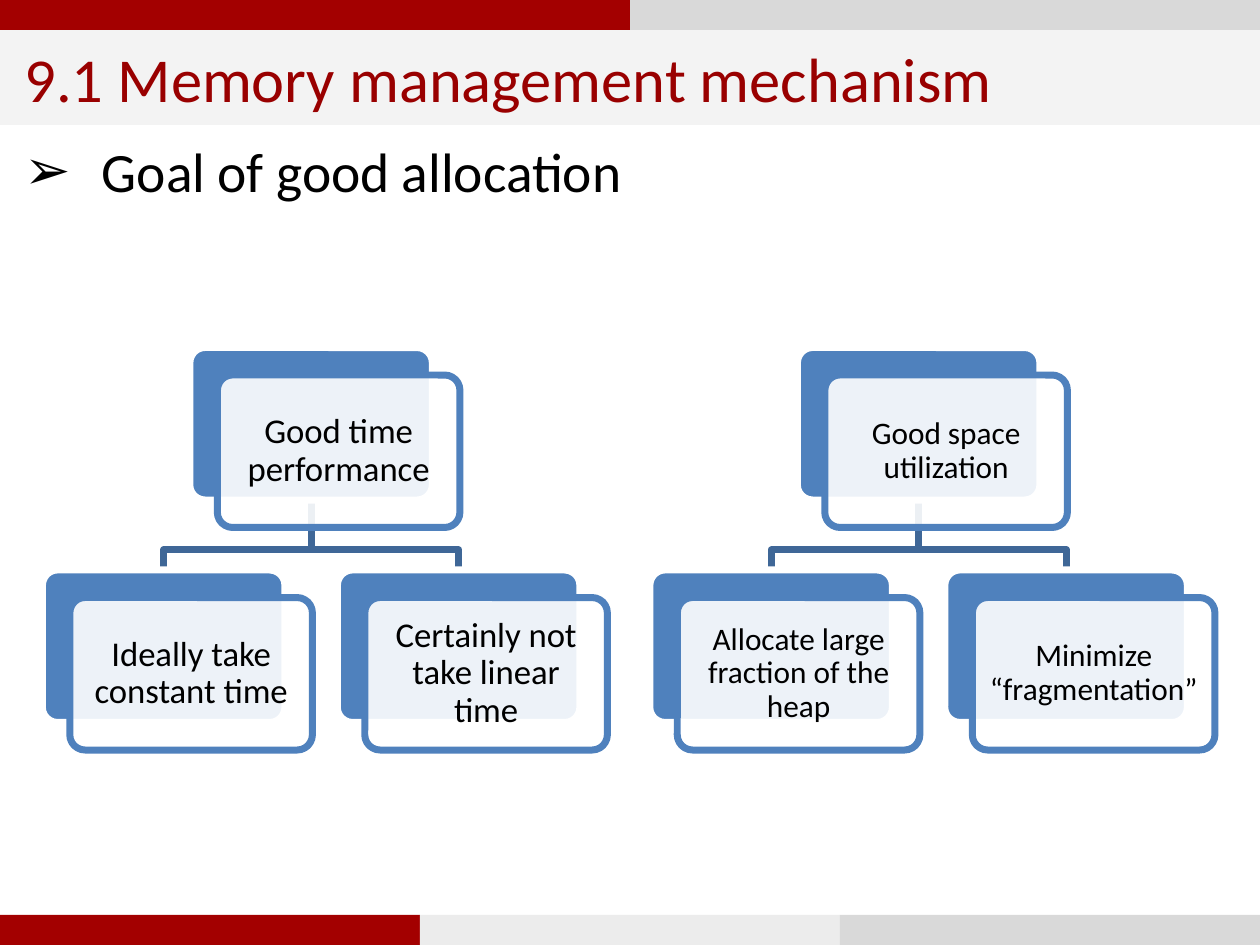
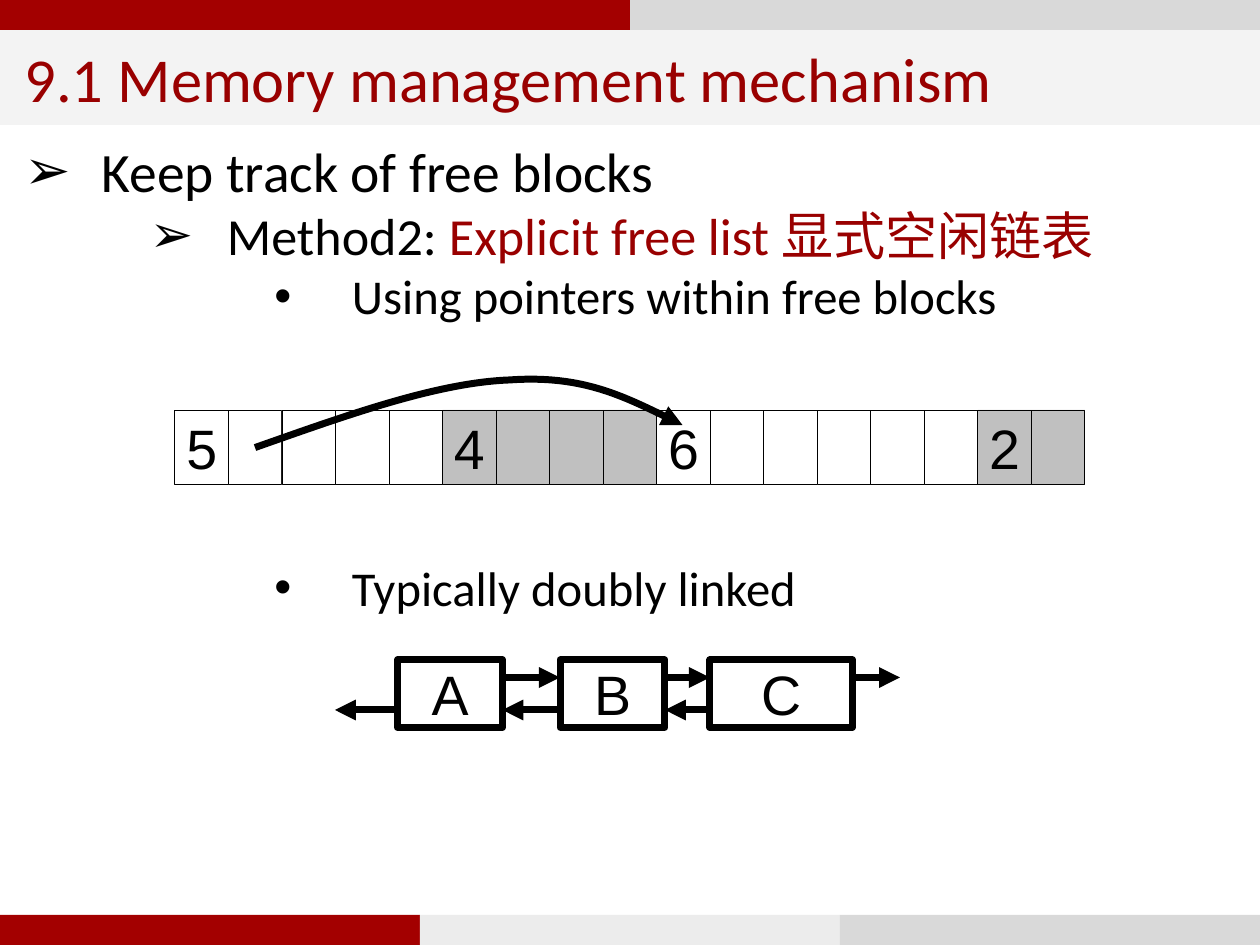
"""Builds two lecture slides on memory allocation: goals and the explicit free list."""
from dataclasses import dataclass

from lxml import etree
from pptx import Presentation
from pptx.dml.color import RGBColor
from pptx.enum.shapes import MSO_CONNECTOR, MSO_SHAPE
from pptx.enum.text import MSO_ANCHOR, PP_ALIGN
from pptx.oxml.ns import qn
from pptx.util import Inches, Pt

RECTANGLE, ROUNDED = MSO_SHAPE.RECTANGLE, MSO_SHAPE.ROUNDED_RECTANGLE
STRAIGHT = MSO_CONNECTOR.STRAIGHT
MIDDLE, CENTER = MSO_ANCHOR.MIDDLE, PP_ALIGN.CENTER


@dataclass(frozen=True)
class Theme:
    text_font: str = "Calibri"
    diagram_font: str = "Arial"
    black: str = "000000"
    white: str = "FFFFFF"
    band_red: str = "A30000"
    title_red: str = "990000"
    band_gray: str = "D9D9D9"
    band_light: str = "ECECEC"
    title_fill: str = "F3F3F3"
    card_blue: str = "4F81BD"
    branch_blue: str = "3F6797"
    allocated: str = "C0C0C0"
    title_size: int = 18
    level_sizes: tuple = (16, 15, 14)
    diagram_size: int = 16
    thick: float = 2
    thin: float = 0.25


THEME = Theme()
SLIDE_W, SLIDE_H = 5.04, 3.78
BAND_H, TITLE_H = 0.12, 0.38
TITLE = "9.1 Memory management mechanism"
BANDS = [
    (0, [THEME.band_red, THEME.band_gray]),
    (SLIDE_H - BAND_H, [THEME.band_red, THEME.band_light, THEME.band_gray]),
]

GOALS = [(0, "➢", 0, [("Goal of good allocation", THEME.black)])]
GOAL_TREES = [
    (0.17, 10, "Good time performance",
     ["Ideally take constant time", "Certainly not take linear time"]),
    (2.6, 9, "Good space utilization",
     ["Allocate large fraction of the heap", "Minimize “fragmentation”"]),
]
CARD_W, CARD_H, CARD_STEP = 0.97, 0.61, 1.18
CARD_SHIFT = 0.11
PARENT_TOP, BRANCH_Y, CHILD_TOP = 1.39, 2.2, 2.28

FREE_LIST = [
    (0, "➢", 0, [("Keep track of free blocks", THEME.black)]),
    (1, "➢", 0, [("Method2: ", THEME.black),
                 ("Explicit free list 显式空闲链表", THEME.title_red)]),
    (2, "•", 0, [("Using pointers within free blocks", THEME.black)]),
    (2, "•", 67, [("Typically doubly linked", THEME.black)]),
]
HEAP_BLOCKS = [(5, THEME.white), (4, THEME.allocated),
               (6, THEME.white), (2, THEME.allocated)]
HEAP_LEFT, HEAP_TOP, HEAP_W, HEAP_H = 0.7, 1.64, 3.64, 0.3
POINTER_CURVE = [(1.02, 1.79), (1.39, 1.66), (1.75, 1.53), (2.04, 1.52),
                 (2.32, 1.5), (2.53, 1.6), (2.73, 1.7)]
NODES = [("A", 1.59, 0.42), ("B", 2.24, 0.42), ("C", 2.84, 0.57)]
NODE_TOP, NODE_H = 2.64, 0.27
CHAIN_START, CHAIN_END = 1.34, 3.6
NEXT_Y, PREVIOUS_Y = 2.71, 2.84


def color(value):
    return RGBColor.from_string(value)


def set_font(font, size, name, tint=THEME.black):
    font.size, font.name = Pt(size), name
    font.color.rgb = color(tint)


def set_line(target, tint, width, arrow=False):
    target.line.color.rgb = color(tint)
    target.line.width = Pt(width)
    if arrow:
        outline = target.line._get_or_add_ln()
        etree.SubElement(outline, qn("a:tailEnd"), type="triangle")


def add_box(slide, kind, left, top, width, height, fill, line=None, line_width=0):
    box = slide.shapes.add_shape(
        kind, Inches(left), Inches(top), Inches(width), Inches(height))
    box.shadow.inherit = False
    box.fill.solid()
    box.fill.fore_color.rgb = color(fill)
    if line:
        set_line(box, line, line_width)
    else:
        box.line.fill.background()
    return box


def set_label(box, text, size, font, inset=0.0, wrap=False):
    frame = box.text_frame
    frame.word_wrap = wrap
    frame.vertical_anchor = MIDDLE
    frame.margin_left = frame.margin_right = Inches(inset)
    frame.margin_top = frame.margin_bottom = Inches(inset)
    paragraph = frame.paragraphs[0]
    paragraph.text = text
    paragraph.alignment = CENTER
    set_font(paragraph.font, size, font)
    return paragraph


def add_outline(slide, points, tint, arrow=False):
    corners = [(Inches(x), Inches(y)) for x, y in points]
    builder = slide.shapes.build_freeform(*corners[0])
    builder.add_line_segments(corners[1:], close=False)
    outline = builder.convert_to_shape()
    outline.shadow.inherit = False
    outline.fill.background()
    set_line(outline, tint, THEME.thick, arrow)
    return outline


def add_curve(slide, points, tint):
    curve = add_outline(slide, points, tint, arrow=True)
    segments = list(curve._element.iter(qn("a:lnTo")))
    for start in range(0, len(segments), 3):
        bezier = etree.Element(qn("a:cubicBezTo"))
        segments[start].addprevious(bezier)
        for segment in segments[start:start + 3]:
            bezier.append(segment[0])
            segment.getparent().remove(segment)


def add_arrow(slide, start, end, y):
    arrow = slide.shapes.add_connector(
        STRAIGHT, Inches(start), Inches(y), Inches(end), Inches(y))
    set_line(arrow, THEME.black, THEME.thick, arrow=True)
    etree.SubElement(arrow._element.spPr, qn("a:effectLst"))


def add_frame(slide, top, height):
    box = slide.shapes.add_textbox(0, Inches(top), Inches(SLIDE_W), Inches(height))
    box.text_frame.word_wrap = True
    return box


def add_body(slide, items):
    frame = add_frame(slide, BAND_H + TITLE_H, SLIDE_H - 2 * BAND_H - TITLE_H).text_frame
    for index, (level, bullet, gap, runs) in enumerate(items):
        paragraph = frame.paragraphs[0] if index == 0 else frame.add_paragraph()
        paragraph.level = level
        if gap:
            paragraph.space_before = Pt(gap)
        properties = paragraph._p.get_or_add_pPr()
        properties.set("marL", str(Inches(0.31 + 0.5 * level)))
        properties.set("indent", str(-Inches(0.31)))
        etree.SubElement(properties, qn("a:buFont"), typeface=THEME.diagram_font)
        etree.SubElement(properties, qn("a:buChar"), char=bullet)
        set_font(paragraph.font, THEME.level_sizes[level], THEME.text_font)
        for text, tint in runs:
            run = paragraph.add_run()
            run.text = text
            if tint != THEME.black:
                run.font.color.rgb = color(tint)


def add_base_slide(deck, items):
    slide = deck.slides.add_slide(deck.slide_layouts[6])
    for top, fills in BANDS:
        width = SLIDE_W / len(fills)
        for index, fill in enumerate(fills):
            add_box(slide, RECTANGLE, index * width, top, width, BAND_H, fill)
    heading = add_frame(slide, BAND_H, TITLE_H)
    heading.fill.solid()
    heading.fill.fore_color.rgb = color(THEME.title_fill)
    heading.text_frame.vertical_anchor = MIDDLE
    paragraph = heading.text_frame.paragraphs[0]
    paragraph.text = TITLE
    set_font(paragraph.font, THEME.title_size, THEME.text_font, THEME.title_red)
    add_body(slide, items)
    return slide


def add_card(slide, left, top, text, size):
    back = add_box(slide, ROUNDED, left, top, CARD_W, CARD_H,
                   THEME.card_blue, THEME.white, THEME.thick)
    front = add_box(slide, ROUNDED, left + CARD_SHIFT, top + CARD_SHIFT, CARD_W, CARD_H,
                    THEME.white, THEME.card_blue, THEME.thick)
    for card in (back, front):
        card.adjustments[0] = 0.1
    tint = front._element.spPr.find(qn("a:solidFill"))[0]
    etree.SubElement(tint, qn("a:alpha"), val="90000")
    label = set_label(front, text, size, THEME.text_font, inset=0.04, wrap=True)
    label.line_spacing = 0.9


def add_tree(slide, left, size, parent, children):
    child_lefts = [left + index * CARD_STEP for index in range(len(children))]
    parent_left = sum(child_lefts) / len(child_lefts)
    stem = parent_left + CARD_W / 2
    for child_left in child_lefts:
        end = child_left + CARD_W / 2
        add_outline(slide, [(stem, PARENT_TOP + CARD_H), (stem, BRANCH_Y),
                            (end, BRANCH_Y), (end, CHILD_TOP)], THEME.branch_blue)
    add_card(slide, parent_left, PARENT_TOP, parent, size)
    for child_left, child in zip(child_lefts, children):
        add_card(slide, child_left, CHILD_TOP, child, size)


def add_heap(slide):
    cell_w = HEAP_W / sum(size for size, _ in HEAP_BLOCKS)
    left = HEAP_LEFT
    for size, fill in HEAP_BLOCKS:
        for index in range(size):
            cell = add_box(slide, RECTANGLE, left, HEAP_TOP, cell_w, HEAP_H,
                           fill, THEME.black, THEME.thin)
            if index == 0:
                set_label(cell, str(size), THEME.diagram_size, THEME.diagram_font)
            left += cell_w
    add_curve(slide, POINTER_CURVE, THEME.black)


def add_linked_list(slide):
    for name, left, width in NODES:
        node = add_box(slide, RECTANGLE, left, NODE_TOP, width, NODE_H,
                       THEME.white, THEME.black, THEME.thick)
        set_label(node, name, THEME.diagram_size, THEME.diagram_font)
    starts = [CHAIN_START] + [left + width for _, left, width in NODES]
    ends = [left for _, left, _ in NODES] + [CHAIN_END]
    gaps = list(zip(starts, ends))
    for start, end in gaps[1:]:
        add_arrow(slide, start, end, NEXT_Y)
    for start, end in gaps[:-1]:
        add_arrow(slide, end, start, PREVIOUS_Y)


def main():
    deck = Presentation()
    deck.slide_width, deck.slide_height = Inches(SLIDE_W), Inches(SLIDE_H)
    goals = add_base_slide(deck, GOALS)
    for tree in GOAL_TREES:
        add_tree(goals, *tree)
    free_list = add_base_slide(deck, FREE_LIST)
    add_heap(free_list)
    add_linked_list(free_list)
    deck.save("out.pptx")


if __name__ == "__main__":
    main()
